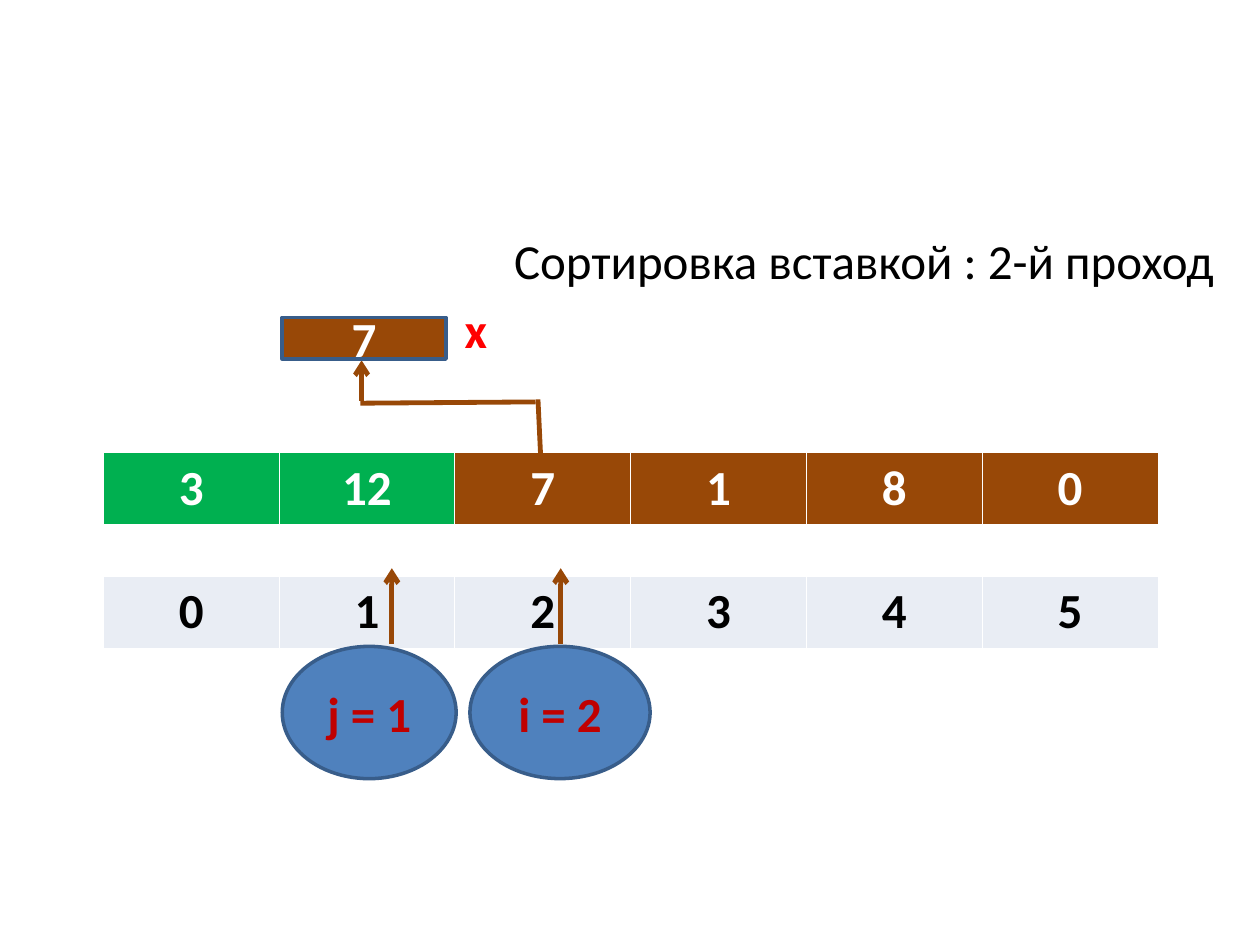
from lxml import etree
from pptx import Presentation
from pptx import util as u
from pptx.dml.color import RGBColor
from pptx.enum import shapes, text
from pptx.oxml.ns import qn

COLORS = {
    "white": "FFFFFF", "black": "000000", "red": "FF0000", "dark_red": "C00000",
    "sorted": "00B050", "unsorted": "984807", "index": "E9EDF4",
    "blue": "4F81BD", "outline": "385D8A",
}
VALUES = [3, 12, 7, 1, 8, 0]
SORTED_COUNT = 2


def color(name):
    """Return the palette colour of that name."""
    return RGBColor.from_string(COLORS[name])


def write(frame, words, ink="black", bold=True, align=text.PP_ALIGN.CENTER,
          anchor=text.MSO_ANCHOR.MIDDLE):
    """Put one formatted line of text in a text frame."""
    frame.word_wrap = True
    frame.vertical_anchor = anchor
    para = frame.paragraphs[0]
    para.alignment = align
    span = para.add_run()
    span.text = words
    span.font.name = "Calibri"
    span.font.size = u.Pt(28)
    span.font.bold = bold
    span.font.color.rgb = color(ink)


def add_line(page, start, end, arrow=False):
    """Draw a brown line between two points, with an optional arrowhead."""
    points = [u.Inches(value) for value in (*start, *end)]
    line = page.shapes.add_connector(shapes.MSO_CONNECTOR.STRAIGHT, *points)
    line.line.color.rgb = color("unsorted")
    line.line.width = u.Pt(2.75)
    etree.SubElement(line._element.spPr, qn("a:effectLst"))
    if arrow:
        outline = line.line._get_or_add_ln()
        etree.SubElement(outline, qn("a:tailEnd"), type="arrow")


def add_label(page, kind, box, words, fill, ink):
    """Draw an outlined shape with centred text."""
    label = page.shapes.add_shape(kind, *map(u.Inches, box))
    label.shadow.inherit = False
    label.fill.solid()
    label.fill.fore_color.rgb = color(fill)
    label.line.color.rgb = color("outline")
    label.line.width = u.Pt(2)
    write(label.text_frame, words, ink=ink)


def set_borders(cell, bottom=0.45, top=0.45):
    """Give a cell white borders of the given widths in points."""
    widths = {"a:lnL": 0.45, "a:lnR": 0.45, "a:lnT": top, "a:lnB": bottom}
    properties = cell._tc.get_or_add_tcPr()
    for place, (tag, width) in enumerate(widths.items()):
        border = etree.Element(qn(tag), w=str(u.Pt(width)))
        fill = etree.SubElement(border, qn("a:solidFill"))
        etree.SubElement(fill, qn("a:srgbClr"), val=COLORS["white"])
        properties.insert(place, border)


def add_array(page, box):
    """Place the array values above their indexes."""
    table = page.shapes.add_table(3, len(VALUES), *map(u.Inches, box)).table
    for row, height in zip(table.rows, (0.57, 0.3, 0.57)):
        row.height = u.Inches(height)
    for index, value in enumerate(VALUES):
        state = "sorted" if index < SORTED_COUNT else "unsorted"
        rows = [(str(value), state, "white", {"bottom": 1.47}),
                ("", "white", "black", {"top": 1.47}),
                (str(index), "index", "black", {})]
        for row, (words, fill, ink, borders) in enumerate(rows):
            cell = table.cell(row, index)
            cell.fill.solid()
            cell.fill.fore_color.rgb = color(fill)
            set_borders(cell, **borders)
            if words:
                write(cell.text_frame, words, ink=ink,
                      anchor=text.MSO_ANCHOR.TOP)


def add_pointer(page, box, words, arrow_x):
    """Place an index bubble with an arrow rising from it."""
    top = box[1]
    add_line(page, (arrow_x, top - 0.02), (arrow_x, top - 0.62), arrow=True)
    add_label(page, shapes.MSO_SHAPE.OVAL, box, words, "blue", "dark_red")


def add_buffer(page, box):
    """Place the saved element, its name and the path from the array."""
    left, top, width, height = box
    bottom = top + height
    add_line(page, (left + 0.63, bottom + 0.33), (left + 0.63, bottom + 0.01),
             arrow=True)
    add_label(page, shapes.MSO_SHAPE.RECTANGLE, box, "7", "unsorted", "white")
    name_box = (left + width + 0.05, top - 0.19, 1.73, 0.57)
    name = page.shapes.add_textbox(*map(u.Inches, name_box))
    write(name.text_frame, "х", ink="red", align=text.PP_ALIGN.LEFT,
          anchor=text.MSO_ANCHOR.TOP)
    add_line(page, (left + 2.01, bottom + 0.34), (left + 0.62, bottom + 0.35))
    add_line(page, (left + 2.05, bottom + 0.75), (left + 2.03, bottom + 0.32))


def add_title(page, box):
    """Move and format the title placeholder."""
    title = page.shapes.title
    title.left, title.top, title.width, title.height = map(u.Inches, box)
    write(title.text_frame, "Сортировка вставкой : 2-й проход", bold=False,
          align=text.PP_ALIGN.LEFT, anchor=text.MSO_ANCHOR.TOP)


def main():
    """Build the insertion sort slide and save it."""
    deck = Presentation()
    deck.slide_width, deck.slide_height = u.Inches(10), u.Inches(7.5)
    page = deck.slides.add_slide(deck.slide_layouts[5])
    add_title(page, (3.98, 1.78, 5.83, 0.57))
    add_array(page, (0.82, 3.59, 8.37, 1.43))
    add_pointer(page, (3.73, 5.13, 1.43, 1.05), "i = 2", 4.45)
    add_buffer(page, (2.24, 2.52, 1.3, 0.33))
    add_pointer(page, (2.24, 5.13, 1.38, 1.05), "j = 1", 3.11)
    deck.save("out.pptx")


if __name__ == "__main__":
    main()
